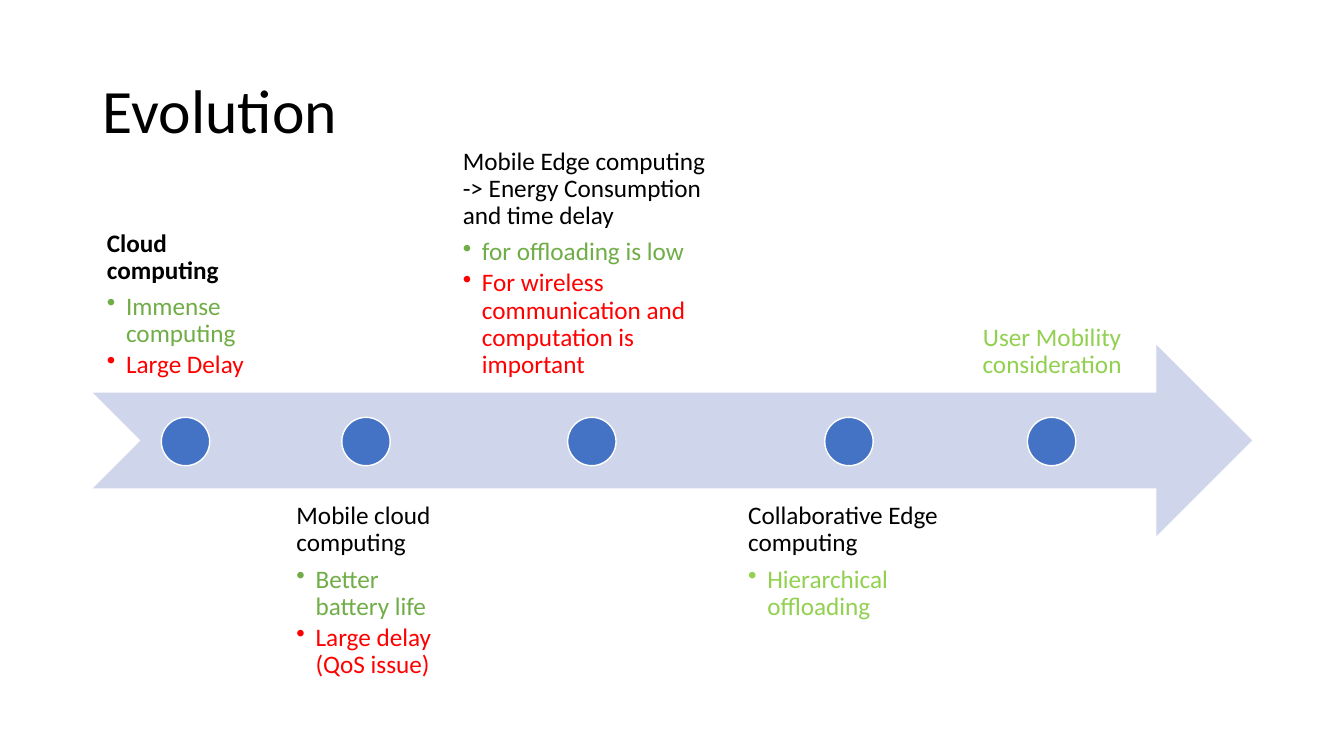
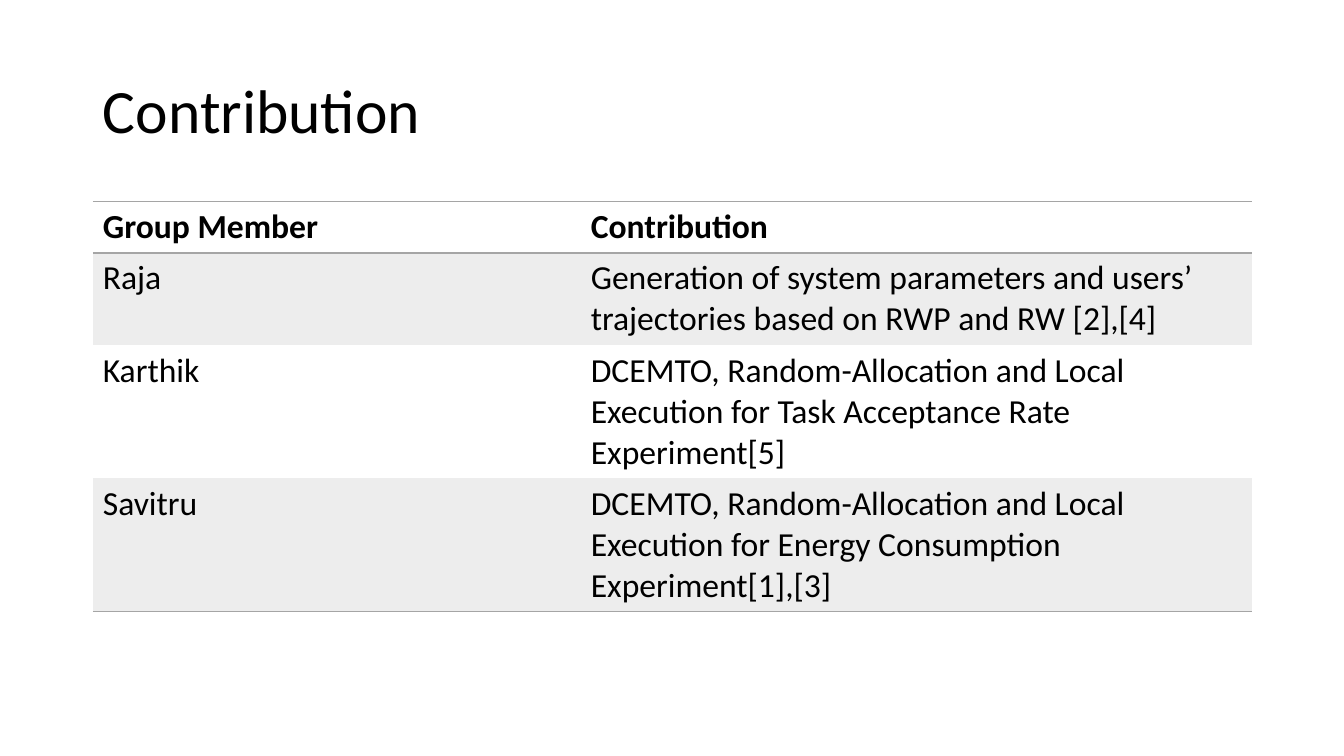
from lxml.etree import SubElement
from pptx import Presentation
from pptx.dml.color import RGBColor
from pptx.enum.shapes import MSO_SHAPE
from pptx.enum.text import MSO_ANCHOR, PP_ALIGN
from pptx.oxml.ns import qn
from pptx.util import Inches, Pt

FONT = "Calibri"
BLACK, WHITE, GREEN, LIME, RED = "000000", "FFFFFF", "70AD47", "92D050", "FF0000"
BLUE, PALE_BLUE, GRAY, PALE_GRAY = "4472C4", "CFD5EA", "A5A5A5", "EDEDED"
LEFT, WIDTH = 0.92, 11.5


def add_run(paragraph, text, size, color=BLACK, bold=False):
    run = paragraph.add_run()
    run.text = text
    run.font.name = FONT
    run.font.size = Pt(size)
    run.font.bold = bold
    run.font.color.rgb = RGBColor.from_string(color)


def add_titled_slide(heading):
    slide = deck.slides.add_slide(deck.slide_layouts[5])
    title = slide.shapes.title
    title.left, title.top = Inches(LEFT), Inches(0.4)
    title.width, title.height = Inches(WIDTH), Inches(1.45)
    title.text_frame.vertical_anchor = MSO_ANCHOR.MIDDLE
    paragraph = title.text_frame.paragraphs[0]
    paragraph.alignment = PP_ALIGN.LEFT
    paragraph.line_spacing = 0.9
    add_run(paragraph, heading, 44)
    return slide


deck = Presentation()
deck.slide_width, deck.slide_height = Inches(13.33), Inches(7.5)

# Evolution timeline
evolution = add_titled_slide("Evolution")
timeline = evolution.shapes.add_shape(
    MSO_SHAPE.NOTCHED_RIGHT_ARROW, Inches(LEFT), Inches(3.42), Inches(WIDTH), Inches(1.9))
timeline.shadow.inherit = False
timeline.fill.solid()
timeline.fill.fore_color.rgb = RGBColor.from_string(PALE_BLUE)
timeline.line.fill.background()

# Label left, label width, dot left, heading, heading colour, bullets
stages = [
    (0.92, 1.83, 1.6, "Cloud computing", BLACK,
     [("Immense computing", GREEN), ("Large Delay", RED)]),
    (2.8, 1.65, 3.39, "Mobile cloud computing", BLACK,
     [("Better battery life", GREEN), ("Large delay (QoS issue)", RED)]),
    (4.45, 2.73, 5.63, "Mobile Edge computing -> Energy Consumption and time delay", BLACK,
     [("for offloading is low", GREEN),
      ("For wireless communication and computation is important", RED)]),
    (7.28, 2.27, 8.18, "Collaborative Edge computing", BLACK,
     [("Hierarchical offloading", LIME)]),
    (9.6, 1.67, 10.19, "User Mobility consideration", LIME, []),
]
for index, (left, width, dot_left, heading, color, points) in enumerate(stages):
    above = index % 2 == 0
    label = evolution.shapes.add_textbox(
        Inches(left), Inches(2 if above else 4.85), Inches(width), Inches(1.9))
    frame = label.text_frame
    frame.word_wrap = True
    frame.vertical_anchor = MSO_ANCHOR.BOTTOM if above else MSO_ANCHOR.TOP
    frame.margin_left = frame.margin_right = Inches(0.14)
    frame.margin_top = frame.margin_bottom = Inches(0.14)
    paragraph = frame.paragraphs[0]
    paragraph.alignment = PP_ALIGN.LEFT if points else PP_ALIGN.CENTER
    paragraph.line_spacing = 0.9
    paragraph.space_after = Pt(6.3)
    add_run(paragraph, heading, 18, color, bold=index == 0)
    for point, point_color in points:
        paragraph = frame.add_paragraph()
        paragraph.level = 1
        paragraph.line_spacing = 0.9
        paragraph.space_after = Pt(2.7)
        properties = paragraph._p.get_or_add_pPr()
        properties.set("marL", str(Inches(0.19)))
        properties.set("indent", str(-Inches(0.19)))
        SubElement(properties, qn("a:buChar"), char="•")
        add_run(paragraph, point, 18, point_color)

    dot = evolution.shapes.add_shape(
        MSO_SHAPE.OVAL, Inches(dot_left), Inches(4.14), Inches(0.48), Inches(0.48))
    dot.shadow.inherit = False
    dot.fill.solid()
    dot.fill.fore_color.rgb = RGBColor.from_string(BLUE)
    dot.line.color.rgb = RGBColor.from_string(WHITE)
    dot.line.width = Pt(1)

# Contribution table
contribution = add_titled_slide("Contribution")
members = [
    ("Group Member", "Contribution"),
    ("Raja", "Generation of system parameters and users’ trajectories based on RWP and RW [2],[4]"),
    ("Karthik", "DCEMTO, Random-Allocation and Local Execution for Task Acceptance Rate Experiment[5]"),
    ("Savitru", "DCEMTO, Random-Allocation and Local Execution for Energy Consumption Experiment[1],[3]"),
]
row_heights = [0.51, 0.91, 1.32, 1.32]
ruled_edges = {0, 1, len(members)}
table = contribution.shapes.add_table(
    len(members), 2, Inches(LEFT), Inches(2), Inches(WIDTH), Inches(sum(row_heights))).table
for column, width in zip(table.columns, (4.84, 6.66)):
    column.width = Inches(width)
for row, (entries, height) in enumerate(zip(members, row_heights)):
    table.rows[row].height = Inches(height)
    for column, entry in enumerate(entries):
        cell = table.cell(row, column)
        add_run(cell.text_frame.paragraphs[0], entry, 24, bold=row == 0)
        cell_properties = cell._tc.get_or_add_tcPr()
        sides = {"lnL": False, "lnR": False,
                 "lnT": row in ruled_edges, "lnB": row + 1 in ruled_edges}
        for side, ruled in sides.items():
            border = SubElement(cell_properties, qn(f"a:{side}"), w=str(Pt(1)))
            if ruled:
                SubElement(SubElement(border, qn("a:solidFill")), qn("a:srgbClr"), val=GRAY)
            else:
                SubElement(border, qn("a:noFill"))
        cell.fill.solid()
        cell.fill.fore_color.rgb = RGBColor.from_string(PALE_GRAY if row % 2 else WHITE)

deck.save("out.pptx")
